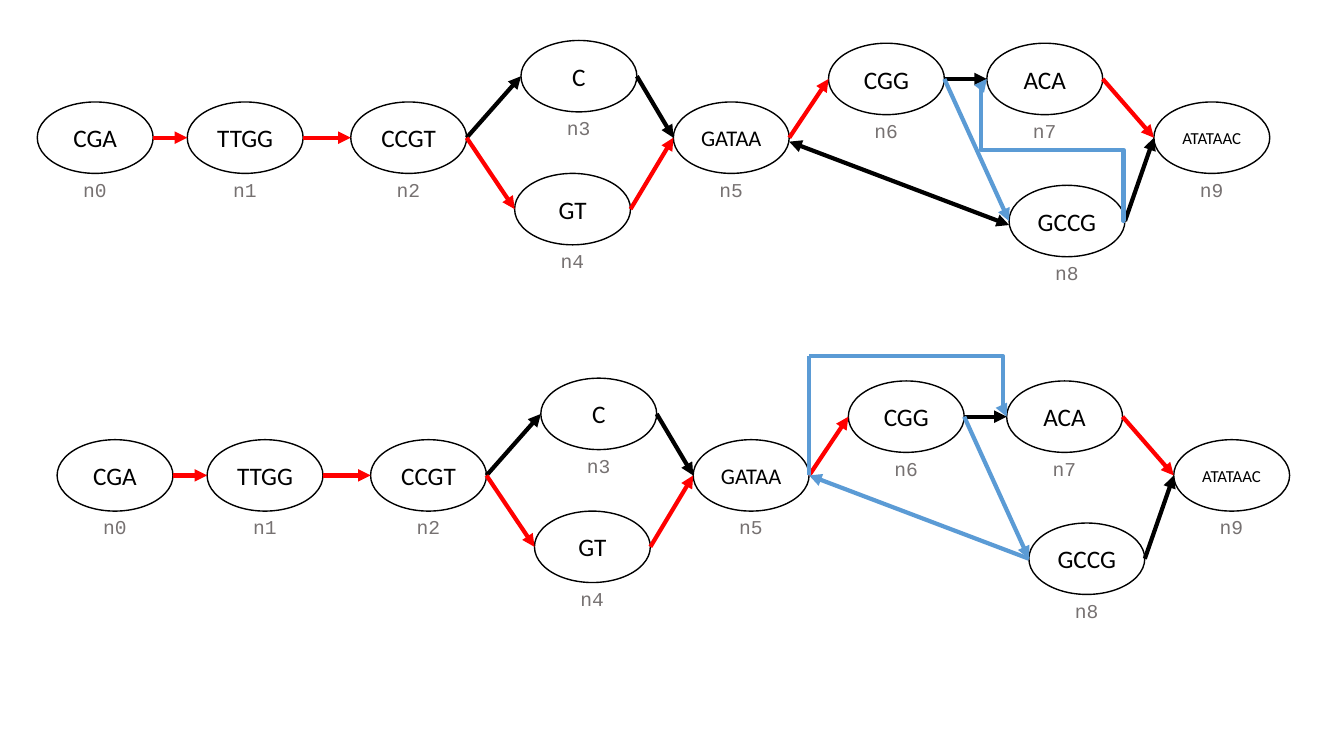
from lxml.etree import SubElement
from pptx import Presentation
from pptx.dml.color import RGBColor
from pptx.enum.shapes import MSO_CONNECTOR, MSO_SHAPE
from pptx.enum.text import MSO_ANCHOR, MSO_AUTO_SIZE, PP_ALIGN
from pptx.oxml.ns import qn
from pptx.util import Cm, Pt

BLACK = RGBColor(0x00, 0x00, 0x00)
WHITE = RGBColor(0xFF, 0xFF, 0xFF)
RED = RGBColor(0xFF, 0x00, 0x00)
BLUE = RGBColor(0x5B, 0x9B, 0xD5)
GRAY = RGBColor(0x76, 0x71, 0x71)

NODE_WIDTH, NODE_HEIGHT = 2.92, 1.8

# sequence, left, top, font size; the index gives the label n0 to n9
NODES = [
    ("CGA", 0.94, 2.57, 18),
    ("TTGG", 4.72, 2.57, 18),
    ("CCGT", 8.84, 2.57, 18),
    ("C", 13.13, 1.02, 18),
    ("GT", 12.97, 4.37, 18),
    ("GATAA", 16.97, 2.57, 16),
    ("CGG", 20.88, 1.09, 18),
    ("ACA", 24.87, 1.09, 18),
    ("GCCG", 25.43, 4.67, 18),
    ("ATATAAC", 29.08, 2.57, 12),
]

# start node, end node, colour
EDGES = [
    (0, 1, RED), (1, 2, RED), (2, 3, BLACK), (2, 4, RED), (3, 5, BLACK),
    (4, 5, RED), (5, 6, RED), (6, 7, BLACK), (6, 8, BLUE), (7, 9, RED),
    (8, 9, BLACK),
]


def write_text(shape, text, *, font, size, color):
    """Put one centred line into the shape."""
    frame = shape.text_frame
    frame.word_wrap = True
    paragraph = frame.paragraphs[0]
    paragraph.alignment = PP_ALIGN.CENTER
    run = paragraph.add_run()
    run.text = text
    run.font.name = font
    run.font.size = Pt(size)
    run.font.color.rgb = color


class GraphSlide:
    node_font = "Calibri"
    label_font = "Courier New"
    label_size = 14
    outline_width = 1
    edge_width = 3

    def __init__(self, slide):
        self.slide = slide

    def node(self, shapes, text, left, top, size):
        shape = shapes.add_shape(MSO_SHAPE.OVAL, Cm(left), Cm(top),
                                 Cm(NODE_WIDTH), Cm(NODE_HEIGHT))
        shape.shadow.inherit = False
        shape.fill.solid()
        shape.fill.fore_color.rgb = WHITE
        shape.line.color.rgb = BLACK
        shape.line.width = Pt(self.outline_width)
        frame = shape.text_frame
        frame.vertical_anchor = MSO_ANCHOR.MIDDLE
        frame.margin_left = frame.margin_right = 0
        write_text(shape, text, font=self.node_font, size=size, color=BLACK)

    def label(self, shapes, text, left, top):
        shape = shapes.add_textbox(Cm(left), Cm(top), Cm(2.51), Cm(0.86))
        shape.text_frame.auto_size = MSO_AUTO_SIZE.SHAPE_TO_FIT_TEXT
        write_text(shape, text, font=self.label_font, size=self.label_size, color=GRAY)

    def edge(self, shapes, start, end, color, ends=("tailEnd",),
             kind=MSO_CONNECTOR.STRAIGHT):
        """Draw a connector; ends lists the arrowheads, headEnd before tailEnd."""
        connector = shapes.add_connector(kind, *map(Cm, start + end))
        connector.line.color.rgb = color
        connector.line.width = Pt(self.edge_width)
        line = connector.line._get_or_add_ln()
        for name in ends:
            SubElement(line, qn(f"a:{name}")).set("type", "triangle")
        SubElement(connector._element.spPr, qn("a:effectLst"))
        return connector

    def bent_edge(self, start, end, color, preset, bends):
        """Draw an elbow arrow whose bends are fractions of its extent."""
        connector = self.edge(self.slide.shapes, start, end, color,
                              kind=MSO_CONNECTOR.ELBOW)
        geometry = connector._element.spPr.find(qn("a:prstGeom"))
        geometry.set("prst", preset)
        adjustments = geometry.find(qn("a:avLst"))
        if adjustments is None:
            adjustments = SubElement(geometry, qn("a:avLst"))
        for number, bend in enumerate(bends, 1):
            guide = SubElement(adjustments, qn("a:gd"))
            guide.set("name", f"adj{number}")
            guide.set("fmla", f"val {round(bend * 100000)}")

    def graph(self, across, down, extra_edges=()):
        """Draw the grouped graph and return the left and right ports of its nodes."""
        shapes = self.slide.shapes.add_group_shape().shapes
        left_ports, right_ports = [], []
        for index, (text, left, top, size) in enumerate(NODES):
            left, top = left + across, top + down
            self.node(shapes, text, left, top, size)
            self.label(shapes, f"n{index}", left + 0.2, top + 1.78)
            middle = top + NODE_HEIGHT / 2
            left_ports.append((left, middle))
            right_ports.append((left + NODE_WIDTH, middle))
        for start, end, color in EDGES:
            self.edge(shapes, right_ports[start], left_ports[end], color)
        for start, end, color in extra_edges:
            self.edge(shapes, right_ports[start], left_ports[end], color, ("headEnd",))
        return left_ports, right_ports


def main():
    presentation = Presentation()
    presentation.slide_width = Cm(33.87)
    presentation.slide_height = Cm(19.05)
    slide = presentation.slides.add_slide(presentation.slide_layouts[6])
    drawing = GraphSlide(slide)

    upper_left, upper_right = drawing.graph(0, 0)
    lower_left, lower_right = drawing.graph(0.5, 8.51, [(5, 8, BLUE)])

    drawing.bent_edge(upper_right[8], upper_left[7], BLUE,
                      "bentConnector5", [0.01, 0.5, 1.04])
    (start_x, start_y), (end_x, end_y) = upper_right[5], upper_left[8]
    drawing.edge(slide.shapes, (start_x, start_y + 0.1), (end_x, end_y + 0.1),
                 BLACK, ("headEnd", "tailEnd"))

    corner = (lower_right[5][0], 8.97)
    drawing.edge(slide.shapes, lower_right[5], corner, BLUE, ())
    drawing.bent_edge(corner, lower_left[7], BLUE, "bentConnector3", [0.98])

    presentation.save("out.pptx")


if __name__ == "__main__":
    main()
